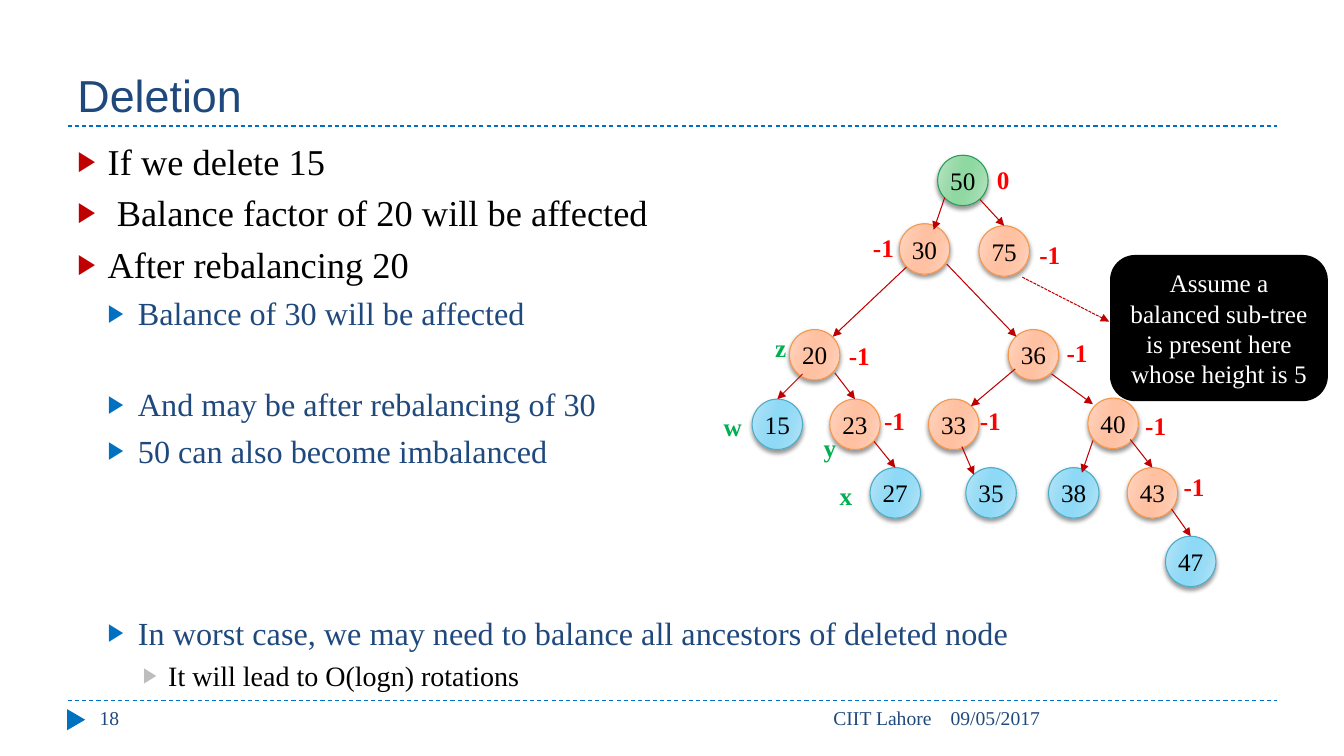
from lxml.etree import SubElement
from pptx import Presentation
from pptx.dml.color import RGBColor
from pptx.enum.dml import MSO_LINE
from pptx.enum.shapes import MSO_CONNECTOR, MSO_SHAPE
from pptx.enum.text import MSO_ANCHOR, MSO_AUTO_SIZE, PP_ALIGN
from pptx.oxml.ns import qn
from pptx.util import Pt

PX = 9144  # EMU per px, 100 px to the inch
SERIF, SANS = "Times New Roman", "Arial"

NAVY = RGBColor(0x1F, 0x49, 0x7D)
BLUE = RGBColor(0x00, 0x70, 0xC0)
DARK_RED = RGBColor(0xC0, 0x00, 0x00)
RED = RGBColor(0xFF, 0x00, 0x00)
GREEN = RGBColor(0x00, 0xB0, 0x50)
GRAY = RGBColor(0xBD, 0xBD, 0xBD)
BLACK = RGBColor(0x00, 0x00, 0x00)
WHITE = RGBColor(0xFF, 0xFF, 0xFF)

# Node styles: outline, then the outer, middle and inner gradient colours
ROOT = (RGBColor(0x27, 0x9D, 0x57), RGBColor(0xBB, 0xE4, 0xC5),
        RGBColor(0x9B, 0xDB, 0xAB), RGBColor(0x8F, 0xD8, 0xA1))
INNER = (RGBColor(0xF7, 0x96, 0x46), RGBColor(0xFF, 0xD7, 0xC5),
         RGBColor(0xFF, 0xC6, 0xAA), RGBColor(0xFF, 0xC1, 0xA1))
LEAF = (RGBColor(0x4B, 0xAC, 0xC6), RGBColor(0xB9, 0xE5, 0xF7),
        RGBColor(0x99, 0xDC, 0xF6), RGBColor(0x8D, 0xD9, 0xF6))

# Bullet levels: indent, hanging, size, line height, space before, text, bullet
LEVELS = [(30, 30, 26, 31, 6, BLACK, DARK_RED),
          (60, 30, 23, 28, 5, NAVY, BLUE),
          (90, 25, 20, 24, 5, BLACK, GRAY)]

# Text, level, extra space before in points
POINTS = [("If we delete 15", 0, 0),
          (" Balance factor of 20 will be affected", 0, 0),
          ("After rebalancing 20", 0, 0),
          ("Balance of 30 will be affected", 1, 0),
          ("And may be after rebalancing of 30", 1, 32),
          ("50 can also become imbalanced", 1, 0),
          ("In worst case, we may need to balance all ancestors of deleted node", 1, 97),
          ("It will lead to O(logn) rotations", 2, 0)]

# Tree parts in px from the corner of the tree box
NODE_SIZE = 50
NODES = [("50", 230, 4, ROOT), ("30", 192, 72, INNER), ("20", 83, 177, INNER),
         ("15", 46, 246, LEAF), ("23", 123, 246, INNER), ("27", 163, 314, LEAF),
         ("33", 221, 246, INNER), ("36", 300, 177, INNER), ("40", 379, 245, INNER),
         ("35", 258, 314, LEAF), ("38", 340, 314, LEAF), ("43", 418, 314, INNER),
         ("47", 456, 382, LEAF), ("75", 271, 74, INNER)]
EDGES = [(237, 46, 226, 78), (272, 48, 296, 74), (199, 115, 126, 184),
         (96, 221, 71, 246), (384, 287, 373, 319), (307, 216, 263, 253),
         (128, 220, 148, 246), (167, 288, 188, 314), (254, 293, 266, 321),
         (343, 221, 384, 251), (421, 286, 443, 314), (462, 355, 481, 382),
         (239, 112, 308, 184)]
SUBTREE_EDGE = (314, 125, 400, 169)
BALANCES = [("0", 279, 8), ("-1", 321, 83), ("-1", 156, 76), ("-1", 132, 183),
            ("-1", 348, 180), ("-1", 262, 247), ("-1", 426, 252),
            ("-1", 464, 313), ("-1", 167, 247)]
NODE_NAMES = [("w", 8, 253), ("z", 59, 175), ("y", 107, 274), ("x", 123, 322)]


def lengths(*pixels):
    return [pixel * PX for pixel in pixels]


def format_text(paragraph, size, color, font=SERIF, bold=False):
    paragraph.font.size = Pt(size)
    for run in paragraph.runs:
        run.font.name = font
        run.font.size = Pt(size)
        run.font.bold = bold
        run.font.color.rgb = color


def add_text(slide, box, text, size, color, font=SERIF, bold=False):
    shape = slide.shapes.add_textbox(*lengths(*box))
    shape.text_frame.word_wrap = True
    shape.text_frame.text = text
    format_text(shape.text_frame.paragraphs[0], size, color, font, bold)
    return shape


def add_line(slide, ends, color, dash=None, arrow=False):
    line = slide.shapes.add_connector(MSO_CONNECTOR.STRAIGHT, *lengths(*ends))
    line.line.color.rgb = color
    line.line.width = Pt(0.75)
    if dash:
        line.line.dash_style = dash
    if arrow:
        SubElement(line.line._get_or_add_ln(), qn("a:tailEnd"), type="triangle")
    SubElement(line._element.spPr, qn("a:effectLst"))


def add_shape(slide, kind, box, fill=None):
    shape = slide.shapes.add_shape(kind, *lengths(*box))
    shape.shadow.inherit = False
    if fill is not None:
        shape.fill.solid()
        shape.fill.fore_color.rgb = fill
    return shape


def add_centred_text(shape, text, color):
    frame = shape.text_frame
    frame.word_wrap = True
    frame.vertical_anchor = MSO_ANCHOR.MIDDLE
    frame.text = text
    frame.paragraphs[0].alignment = PP_ALIGN.CENTER
    format_text(frame.paragraphs[0], 18, color)


def add_node(slide, left, top, key, style):
    outline, outer, middle, inner = style
    node = add_shape(slide, MSO_SHAPE.OVAL, (left, top, NODE_SIZE, NODE_SIZE))
    node.line.color.rgb = outline
    node.line.width = Pt(0.75)
    # Mirrored gradient
    node.fill.gradient()
    node.fill.gradient_angle = 344
    properties = node._element.spPr
    stops = properties.find(qn("a:gradFill")).find(qn("a:gsLst"))
    for stop in list(stops):
        stops.remove(stop)
    for percent, color in zip((0, 30, 45, 55, 73, 100),
                              (outer, middle, inner, inner, middle, outer)):
        stop = SubElement(stops, qn("a:gs"), pos=str(percent * 1000))
        SubElement(stop, qn("a:srgbClr"), val=str(color))
    # Soft shadow below
    shadow = SubElement(properties.find(qn("a:effectLst")), qn("a:outerShdw"),
                        blurRad=str(Pt(3)), dist=str(Pt(2)), dir="5400000", rotWithShape="0")
    shadow_color = SubElement(shadow, qn("a:srgbClr"), val=str(BLACK))
    SubElement(shadow_color, qn("a:alpha"), val="40000")
    node.text_frame.margin_left = node.text_frame.margin_right = 0
    add_centred_text(node, key, BLACK)


def add_header(slide, left, top, width, height):
    title = add_text(slide, (left, top, width, height), "Deletion", 32, NAVY, SANS)
    title.text_frame.vertical_anchor = MSO_ANCHOR.BOTTOM
    bottom = top + height
    add_line(slide, (left, bottom, left + width, bottom), BLUE, MSO_LINE.DASH)


def add_footer(slide, left, top, width, height):
    add_line(slide, (left, top, left + width, top), BLUE, MSO_LINE.DASH)
    marker = add_shape(slide, MSO_SHAPE.ISOSCELES_TRIANGLE, (left - 2, top + 10, 21, 18), BLUE)
    marker.rotation = 90
    marker.line.fill.background()
    add_text(slide, (left + 22, top, 289, height), "18", 14, NAVY)
    place = add_text(slide, (left + 356, top, 511, height), "CIIT Lahore", 14, NAVY)
    place.text_frame.paragraphs[0].alignment = PP_ALIGN.RIGHT
    add_text(slide, (left + 866, top, 334, height), "09/05/2017", 14, NAVY)


def add_points(slide, left, top, width, height):
    frame = slide.shapes.add_textbox(*lengths(left, top, width, height)).text_frame
    frame.word_wrap = True
    for index, (text, level, gap) in enumerate(POINTS):
        indent, hanging, size, line_height, before, color, bullet_color = LEVELS[level]
        paragraph = frame.add_paragraph() if index else frame.paragraphs[0]
        paragraph.text = text
        paragraph.level = level
        properties = paragraph._p.get_or_add_pPr()
        properties.set("marL", str(indent * PX))
        properties.set("indent", str(-hanging * PX))
        bullet = SubElement(properties, qn("a:buClr"))
        SubElement(bullet, qn("a:srgbClr"), val=str(bullet_color))
        SubElement(properties, qn("a:buSzPct"), val="76000")
        SubElement(properties, qn("a:buFont"), typeface=SANS)
        SubElement(properties, qn("a:buChar"), char="▶")
        paragraph.line_spacing = Pt(line_height)
        paragraph.space_before = Pt(before + gap if index else 0)
        format_text(paragraph, size, color)


def add_tree(slide, left, top):
    for key, x, y, style in NODES:
        add_node(slide, left + x, top + y, key, style)
    for edge in EDGES + [SUBTREE_EDGE]:
        x1, y1, x2, y2 = edge
        dash = MSO_LINE.SQUARE_DOT if edge == SUBTREE_EDGE else None
        add_line(slide, (left + x1, top + y1, left + x2, top + y2), DARK_RED, dash, arrow=True)
    # Balance factors and node names
    for labels, color in ((BALANCES, RED), (NODE_NAMES, GREEN)):
        for text, x, y in labels:
            width = 41 if len(text) > 1 else 33
            label = add_text(slide, (left + x, top + y, width, 40), text, 18, color, bold=True)
            label.text_frame.word_wrap = False
            label.text_frame.auto_size = MSO_AUTO_SIZE.SHAPE_TO_FIT_TEXT


def add_callout(slide, left, top, width, height):
    callout = add_shape(slide, MSO_SHAPE.ROUNDED_RECTANGLE, (left, top, width, height), BLACK)
    callout.line.color.rgb = BLACK
    callout.line.width = Pt(1.5)
    add_centred_text(callout, "Assume a balanced sub-tree is present here whose height is 5", WHITE)


def main():
    presentation = Presentation()
    presentation.slide_width, presentation.slide_height = lengths(1333, 750)
    slide = presentation.slides.add_slide(presentation.slide_layouts[6])
    add_header(slide, 67, 17, 1200, 108)
    add_footer(slide, 67, 695, 1200, 40)
    add_points(slide, 67, 133, 1200, 540)
    add_tree(slide, 700, 150)
    add_callout(slide, 1102, 254, 214, 143)
    presentation.save("out.pptx")


if __name__ == "__main__":
    main()
